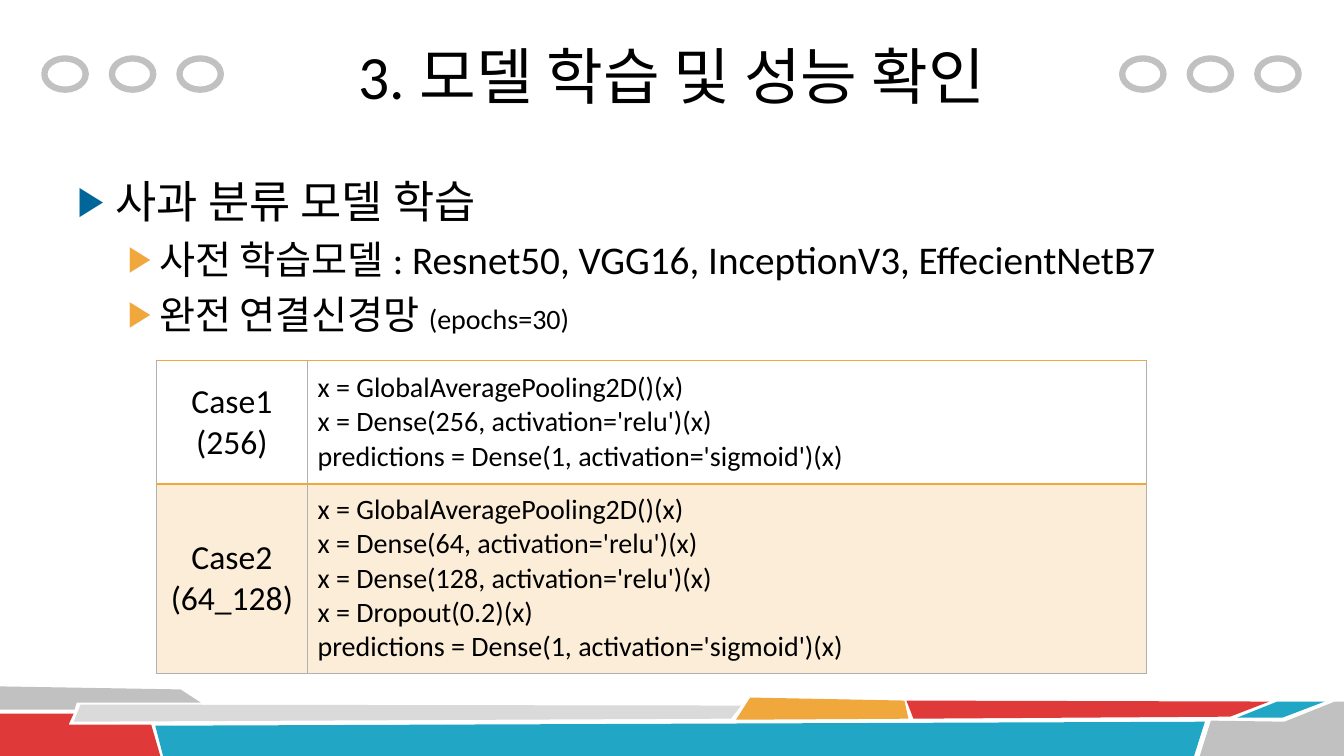
from dataclasses import dataclass

from lxml.etree import SubElement
from pptx import Presentation
from pptx.dml.color import RGBColor
from pptx.enum.shapes import MSO_SHAPE
from pptx.enum.text import MSO_ANCHOR, PP_ALIGN
from pptx.oxml.ns import qn
from pptx.util import Inches, Pt


@dataclass(frozen=True)
class Theme:
    """Colours, font and type sizes of the slide."""
    font: str = "Calibri"
    text: str = "000000"
    gray: str = "C1C1C1"
    pale: str = "DADADA"
    red: str = "DF3939"
    teal: str = "21A6C5"
    orange: str = "F0A73C"
    blue: str = "006699"
    rule: str = "B0B0B0"
    title: int = 44
    topic: int = 32
    detail: int = 28
    case: int = 24
    code: int = 20


THEME = Theme()

RIBBONS = [
    (THEME.gray, [(0, 681), (179, 684), (199, 697), (76, 697), (74, 704), (0, 704)]),
    (THEME.red, [(0, 708), (73, 708), (68, 719), (150, 719), (159, 750), (0, 750)]),
    (THEME.pale, [(80, 699), (735, 700), (725, 713), (73, 716)]),
    (THEME.teal, [(154, 720), (1195, 716), (1184, 751), (162, 751)]),
    (THEME.orange, [(744, 692), (897, 695), (901, 713), (730, 714)]),
    (THEME.red, [(899, 695), (1259, 696), (1220, 711), (906, 713)]),
    (THEME.teal, [(1267, 696), (1314, 696), (1272, 712), (1227, 712)]),
    (THEME.gray, [(1201, 715), (1274, 716), (1324, 696), (1333, 696),
                  (1333, 750), (1190, 750)]),
]

OUTLINE = [
    (0, THEME.blue, [("사과 분류 모델 학습", THEME.topic)]),
    (1, THEME.orange, [("사전 학습모델 : Resnet50, VGG16, InceptionV3, EffecientNetB7",
                        THEME.detail)]),
    (1, THEME.orange, [("완전 연결신경망 ", THEME.detail), ("(epochs=30)", THEME.code)]),
]

INDENTS = [(0.38, -0.38), (0.81, -0.31)]

POOLING = "x = GlobalAveragePooling2D()(x)"
PREDICTIONS = "predictions = Dense(1, activation='sigmoid')(x)"
CASES = [
    (["Case1", "(256)"],
     [POOLING, "x = Dense(256, activation='relu')(x)", PREDICTIONS]),
    (["Case2", "(64_128)"],
     [POOLING, "x = Dense(64, activation='relu')(x)",
      "x = Dense(128, activation='relu')(x)", "x = Dropout(0.2)(x)", PREDICTIONS]),
]


def apply_format(target, values):
    """Set every attribute named in values on target."""
    for name, value in values.items():
        setattr(target, name, value)


def add_run(paragraph, text, size):
    """Add a run in the theme font."""
    run = paragraph.add_run()
    run.text = text
    apply_format(run.font, {"name": THEME.font, "size": Pt(size), "bold": False})
    run.font.color.rgb = RGBColor.from_string(THEME.text)


def add_ribbon(slide, color, corners):
    """Draw a filled polygon with corners in hundredths of an inch."""
    builder = slide.shapes.build_freeform(*corners[0], scale=Inches(0.01))
    builder.add_line_segments(corners[1:], close=True)
    ribbon = builder.convert_to_shape()
    ribbon.shadow.inherit = False
    ribbon.fill.solid()
    ribbon.fill.fore_color.rgb = RGBColor.from_string(color)
    ribbon.line.fill.background()


def add_rings(slide, left):
    """Draw three evenly spaced open ellipses."""
    for index in range(3):
        ring = slide.shapes.add_shape(
            MSO_SHAPE.OVAL, Inches(left + 0.67 * index), Inches(0.58),
            Inches(0.41), Inches(0.31))
        ring.shadow.inherit = False
        ring.fill.background()
        ring.line.color.rgb = RGBColor.from_string(THEME.gray)
        ring.line.width = Pt(4.5)


def set_title(slide, text):
    """Place and format the title placeholder."""
    title = slide.shapes.title
    apply_format(title, {"left": Inches(2.33), "top": Inches(0.12),
                         "width": Inches(8.67), "height": Inches(1.25)})
    title.text_frame.vertical_anchor = MSO_ANCHOR.MIDDLE
    heading = title.text_frame.paragraphs[0]
    heading.alignment = PP_ALIGN.CENTER
    add_run(heading, text, THEME.title)


def set_bullet(paragraph, level, color):
    """Give a paragraph a coloured triangle and a hanging indent."""
    margin, indent = INDENTS[level]
    properties = paragraph._p.get_or_add_pPr()
    properties.set("marL", str(Inches(margin)))
    properties.set("indent", str(Inches(indent)))
    bullet_color = SubElement(properties, qn("a:buClr"))
    SubElement(bullet_color, qn("a:srgbClr"), val=color)
    SubElement(properties, qn("a:buSzPct"), val="90000")
    SubElement(properties, qn("a:buFont"), typeface="Arial")
    SubElement(properties, qn("a:buChar"), char="▶")


def add_outline(slide, items):
    """Add the bulleted text."""
    outline = slide.shapes.add_textbox(
        Inches(0.67), Inches(1.67), Inches(12), Inches(5.01)).text_frame
    outline.word_wrap = True
    for index, (level, color, runs) in enumerate(items):
        paragraph = outline.add_paragraph() if index else outline.paragraphs[0]
        apply_format(paragraph, {"level": level, "space_before": Pt(runs[0][1] * 0.2)})
        set_bullet(paragraph, level, color)
        for text, size in runs:
            add_run(paragraph, text, size)


def set_borders(cell, borders):
    """Draw cell borders given as side: (colour, points)."""
    properties = cell._tc.get_or_add_tcPr()
    for side, (color, width) in borders.items():
        edge = SubElement(properties, qn(f"a:ln{side}"), w=str(Pt(width)))
        fill = SubElement(edge, qn("a:solidFill"))
        SubElement(fill, qn("a:srgbClr"), val=color)


def fill_cell(cell, lines, size, alignment):
    """Write lines into a vertically centred cell."""
    cell.vertical_anchor = MSO_ANCHOR.MIDDLE
    for index, line in enumerate(lines):
        frame = cell.text_frame
        paragraph = frame.add_paragraph() if index else frame.paragraphs[0]
        paragraph.alignment = alignment
        add_run(paragraph, line, size)


def tint_cell(cell, color):
    """Fill a cell with a colour at 20 percent opacity."""
    cell.fill.solid()
    cell.fill.fore_color.rgb = RGBColor.from_string(color)
    shade = cell._tc.tcPr.find(f"{qn('a:solidFill')}/{qn('a:srgbClr')}")
    SubElement(shade, qn("a:alpha"), val="20000")


def add_cases(slide, cases):
    """Add the table of network cases."""
    table = slide.shapes.add_table(
        len(cases), 2, Inches(1.55), Inches(3.58), Inches(9.82), Inches(3.1)).table
    apply_format(table, {"first_row": False, "horz_banding": False})
    for column, width in zip(table.columns, (1.5, 8.32)):
        column.width = Inches(width)
    for row, height in zip(table.rows, (1.22, 1.88)):
        row.height = Inches(height)
    thin, top, divider = (THEME.rule, 0.75), (THEME.orange, 1), (THEME.orange, 2)
    edges = [{"T": top, "B": divider}, {"T": divider, "B": thin}]
    formats = [(THEME.case, PP_ALIGN.CENTER), (THEME.code, PP_ALIGN.LEFT)]
    for row, case in enumerate(cases):
        for column, lines in enumerate(case):
            cell = table.cell(row, column)
            fill_cell(cell, lines, *formats[column])
            set_borders(cell, {"L": thin, "R": thin, **edges[row]})
            if row:
                tint_cell(cell, THEME.orange)
            else:
                cell.fill.background()


def main():
    """Build and save the slide."""
    deck = Presentation()
    apply_format(deck, {"slide_width": Inches(13.33), "slide_height": Inches(7.5)})
    slide = deck.slides.add_slide(deck.slide_layouts.get_by_name("Title Only"))
    for color, corners in RIBBONS:
        add_ribbon(slide, color, corners)
    for left in (0.44, 11.13):
        add_rings(slide, left)
    set_title(slide, "3. 모델 학습 및 성능 확인")
    add_outline(slide, OUTLINE)
    add_cases(slide, CASES)
    deck.save("out.pptx")


if __name__ == "__main__":
    main()
